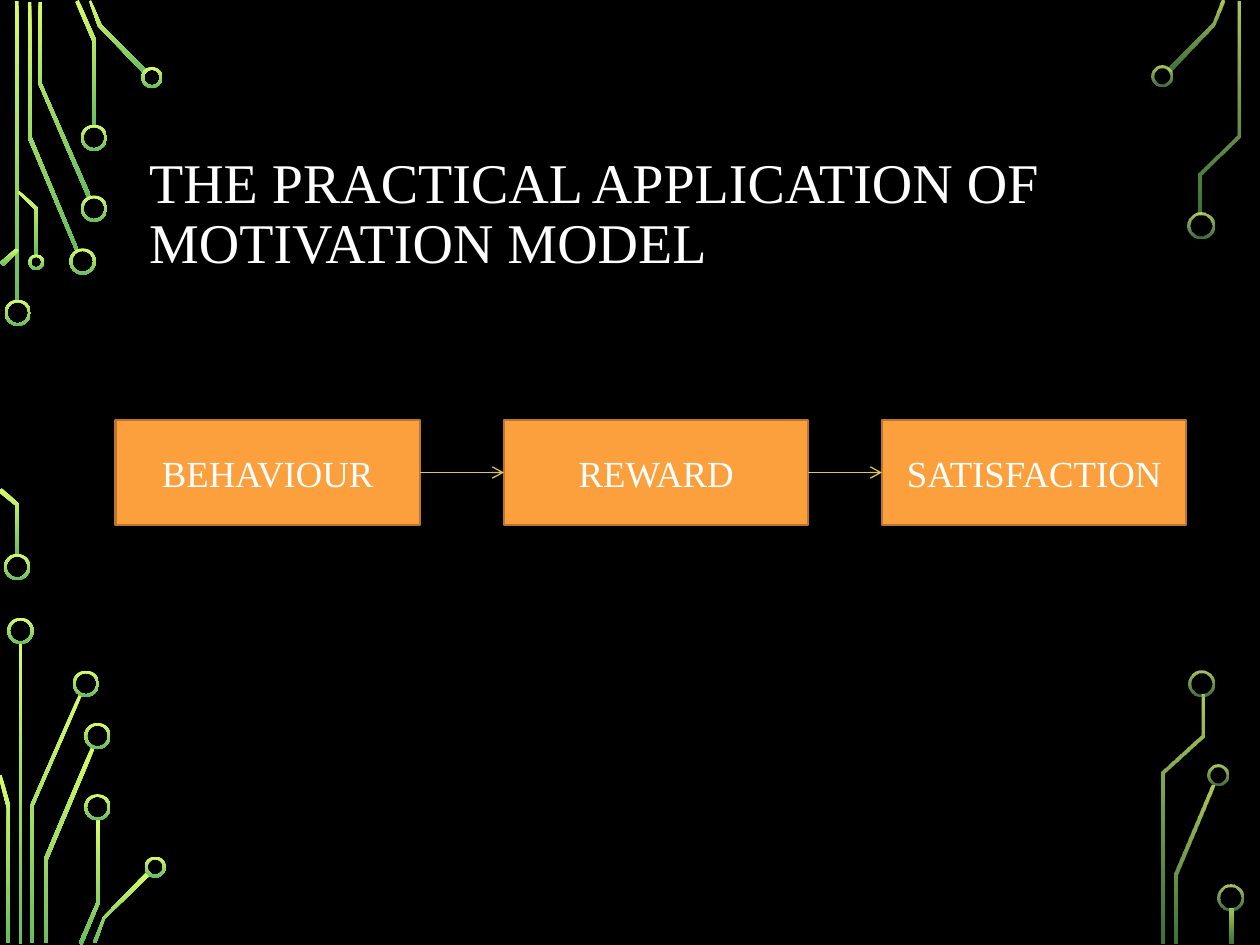
from itertools import pairwise
from math import hypot

from lxml import etree
from pptx import Presentation
from pptx.dml.color import RGBColor
from pptx.enum import shapes, text
from pptx.oxml.ns import qn
from pptx.util import Pt

COLORS = {"bg": "000000", "text": "FFFFFF", "lime": "D8FC68", "green": "66BD5F",
          "box": "FCA03D", "box_line": "BA762D", "arrow": "DDC855"}
C = {name: RGBColor.from_string(value) for name, value in COLORS.items()}
FONT = "Times New Roman"
TRACE = 2  # width of a circuit trace
RIM = 1.5  # thickness of a ring

# Bars: left, top, height. Traces: points of the centre line.
# Rings: centre x, centre y, diameter.
CIRCUITS = [
    {"alphas": None,
     "bars": [(8.7, 0.5, 172), (10.8, 367.2, 172)],
     "traces": [
         [(16.6, 0.7), (16.6, 78.5), (43.9, 143)],
         [(23.4, 0.7), (23.4, 47.8), (51.1, 112.7)],
         [(53.7, 72), (53.7, 23.7), (43.9, 0.4)],
         [(83.2, 41), (57.2, 14.8), (51.5, 0.4)],
         [(1.1, 151.2), (10.1, 142.6)],
         [(10, 317.5), (10, 288.4), (0, 280.1)],
         [(20.9, 146.2), (20.9, 119.2), (10.8, 109.4)],
         [(18.4, 538.6), (18.4, 461.2), (45.7, 397)],
         [(4.7, 538.6), (4.7, 461.5), (0, 443.2)],
         [(25.6, 539.3), (25.6, 491.4), (52.9, 427.3)],
         [(45.7, 539.6), (55.8, 516.2), (55.8, 468)],
         [(53.6, 538.9), (59.4, 524.9), (85, 499)]],
     "rings": [
         (10.1, 178.7, 15), (9.8, 324, 15), (47.2, 149.4, 15), (53.7, 119.2, 15),
         (53.7, 78.7, 15), (86.8, 44.3, 12), (20.7, 149.8, 9), (11.7, 360.5, 15),
         (49.1, 390.7, 15), (55.7, 420.6, 15), (55.7, 461.3, 15), (88.7, 495.5, 12)]},
    {"alphas": (80, 60),
     "bars": [(702.7, 519, 20)],
     "traces": [
         [(667.8, 40), (693.4, 14), (699.1, 0.4)],
         [(671.8, 539.3), (671.8, 499.3), (693.4, 448.9)],
         [(685.8, 121.7), (685.8, 99.7), (708.1, 77.4), (708.1, 0.7)],
         [(664.9, 539.3), (664.9, 441.7), (686.5, 420.1), (686.5, 397.4)]],
     "rings": [
         (663.9, 43.4, 12), (686.3, 128.7, 15), (696.1, 443, 12),
         (686.6, 390.7, 15), (703.2, 512.8, 15)]},
]


def ribbon(points, width):
    """Return the outline of a mitred band along a centre line."""
    normals = []
    for (x1, y1), (x2, y2) in pairwise(points):
        length = hypot(x2 - x1, y2 - y1)
        normals.append(((y1 - y2) / length, (x2 - x1) / length))
    left, right = [], []
    for (x, y), (ax, ay), (bx, by) in zip(points, normals[:1] + normals, normals + normals[-1:]):
        k = width / 2 / (1 + ax * bx + ay * by)
        dx, dy = k * (ax + bx), k * (ay + by)
        left.append((x + dx, y + dy))
        right.append((x - dx, y - dy))
    return left + right[::-1]


def paint(shape, alphas):
    """Fill a circuit part from lime at the top to green at the bottom."""
    shape.shadow.inherit = False
    shape.line.fill.background()
    shape.fill.gradient()
    shape.fill.gradient_angle = 270
    for i, (stop, name) in enumerate(zip(shape.fill.gradient_stops, ("lime", "green"))):
        stop.position = i
        stop.color.rgb = C[name]
    if alphas:
        for color, alpha in zip(shape._element.spPr.iter(qn("a:srgbClr")), alphas):
            etree.SubElement(color, qn("a:alpha"), val=str(alpha * 1000))


prs = Presentation()
prs.slide_width, prs.slide_height = Pt(720), Pt(540)
s = prs.slides.add_slide(prs.slide_layouts[5])
s.background.fill.solid()
s.background.fill.fore_color.rgb = C["bg"]

# Circuit decoration on both sides
for circuit in CIRCUITS:
    group = s.shapes.add_group_shape().shapes
    parts = [group.add_shape(shapes.MSO_SHAPE.RECTANGLE, Pt(x), Pt(y), Pt(TRACE), Pt(h))
             for x, y, h in circuit["bars"]]
    for trace in circuit["traces"]:
        start, *rest = ribbon(trace, TRACE)
        builder = group.build_freeform(*start, scale=Pt(1))
        builder.add_line_segments(rest, close=True)
        parts.append(builder.convert_to_shape())
    for x, y, d in circuit["rings"]:
        ring = group.add_shape(shapes.MSO_SHAPE.DONUT, Pt(x - d / 2), Pt(y - d / 2), Pt(d), Pt(d))
        ring.adjustments[0] = RIM / d
        parts.append(ring)
    for part in parts:
        paint(part, circuit["alphas"])

# Title
title = s.shapes.title
title.left, title.top, title.width, title.height = Pt(78), Pt(84), Pt(642), Pt(78)
tf = title.text_frame
tf.text = "THE PRACTICAL APPLICATION OF MOTIVATION MODEL"
tf.word_wrap = True
tf.auto_size = text.MSO_AUTO_SIZE.NONE
tf.vertical_anchor = text.MSO_ANCHOR.MIDDLE
p = tf.paragraphs[0]
p.alignment = text.PP_ALIGN.LEFT
p.line_spacing = 0.9
r = p.runs[0]
for name, value in {"name": FONT, "size": Pt(32)}.items():
    setattr(r.font, name, value)
r.font.color.rgb = C["text"]

# Flow of boxes
boxes = []
for x, label in ((66, "BEHAVIOUR"), (288, "REWARD"), (504, "SATISFACTION")):
    box = s.shapes.add_shape(shapes.MSO_SHAPE.RECTANGLE, Pt(x), Pt(240), Pt(174), Pt(60))
    box.shadow.inherit = False
    box.fill.solid()
    box.fill.fore_color.rgb = C["box"]
    box.line.color.rgb = C["box_line"]
    box.line.width = Pt(1.25)
    tf = box.text_frame
    tf.text = label
    tf.vertical_anchor = text.MSO_ANCHOR.MIDDLE
    p = tf.paragraphs[0]
    p.alignment = text.PP_ALIGN.CENTER
    r = p.runs[0]
    for name, value in {"name": FONT, "size": Pt(21)}.items():
        setattr(r.font, name, value)
    r.font.color.rgb = C["text"]
    boxes.append(box)

for source, target in pairwise(boxes):
    arrow = s.shapes.add_connector(shapes.MSO_CONNECTOR.STRAIGHT, 0, 0, 0, 0)
    arrow.begin_connect(source, 3)
    arrow.end_connect(target, 1)
    arrow.line.color.rgb = C["arrow"]
    arrow.line.width = Pt(0.75)
    etree.SubElement(arrow.line._get_or_add_ln(), qn("a:tailEnd"), type="arrow")
    etree.SubElement(arrow._element.spPr, qn("a:effectLst"))

prs.save("out.pptx")
